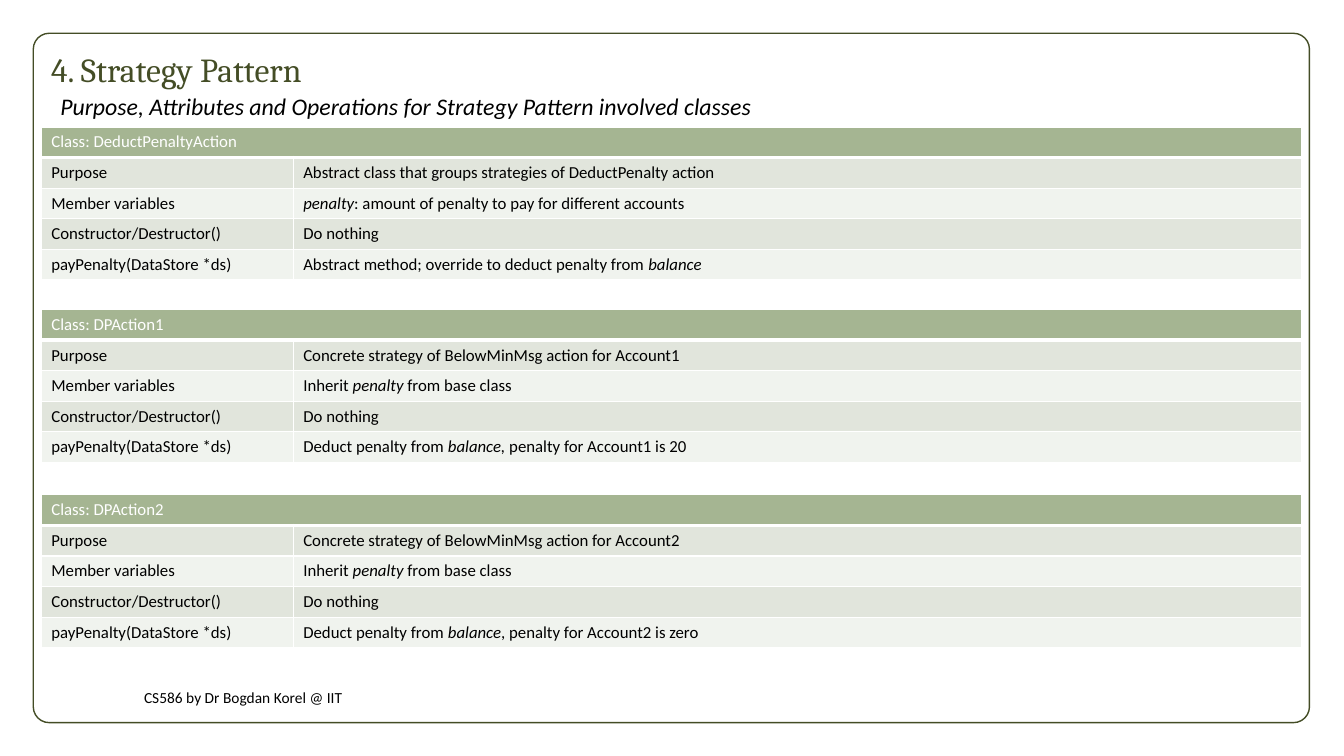
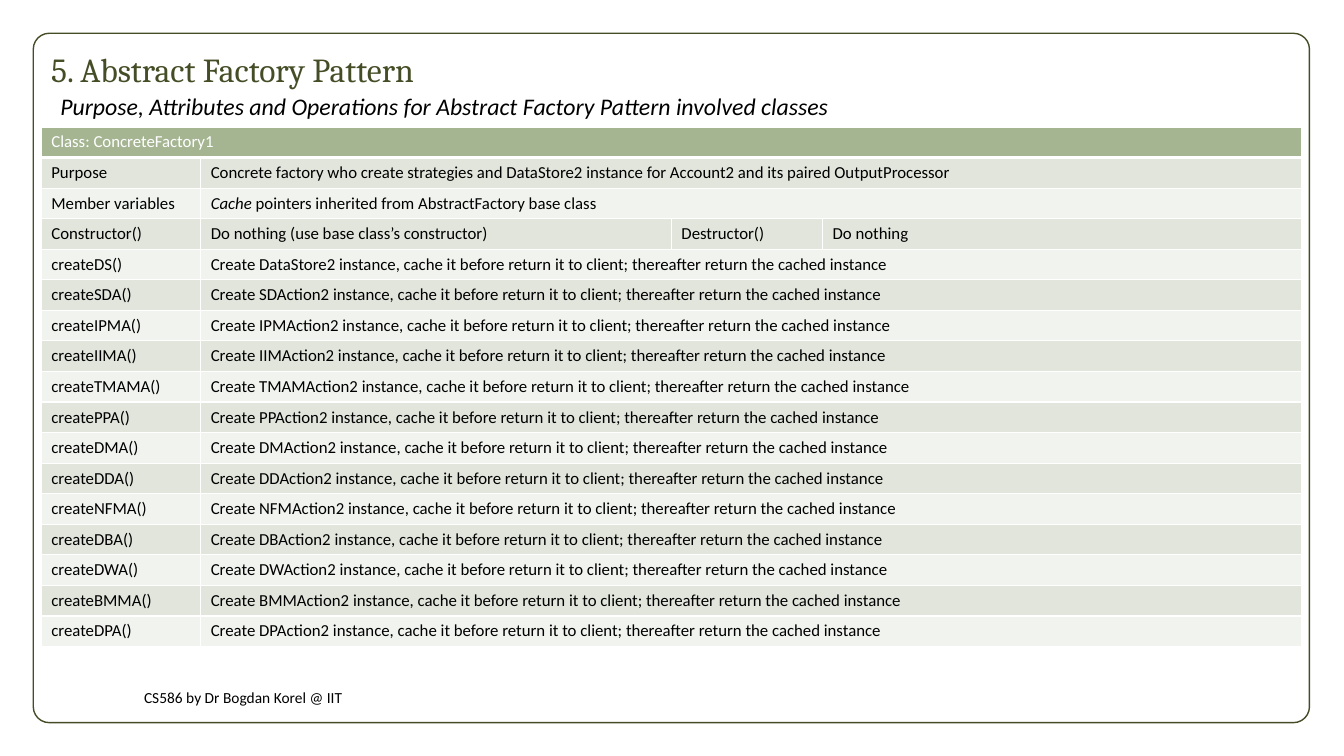
from lxml import etree
from pptx import Presentation
from pptx.dml.color import RGBColor
from pptx.enum.shapes import MSO_SHAPE
from pptx.enum.text import MSO_ANCHOR
from pptx.oxml.ns import qn
from pptx.util import Cm, Pt

COLORS = {
    "paper": "FFFFFF",
    "ink": "000000",
    "olive": "444D26",
    "header": "A5B592",
    "odd": "E1E5DC",
    "even": "F0F3EE",
}
BODY_FONT, TITLE_FONT = "Calibri", "Cambria"
TABLE_LEFT, TABLE_TOP, ROW_HEIGHT = 1.04, 3.2, 0.77

STRATEGY_TABLES = [
    (TABLE_TOP, [
        ["Class: DeductPenaltyAction"],
        ["Purpose", "Abstract class that groups strategies of DeductPenalty action"],
        ["Member variables", "_penalty_: amount of penalty to pay for different accounts"],
        ["Constructor/Destructor()", "Do nothing"],
        ["payPenalty(DataStore *ds)",
         "Abstract method; override to deduct penalty from _balance_"],
    ]),
    (7.8, [
        ["Class: DPAction1"],
        ["Purpose", "Concrete strategy of BelowMinMsg action for Account1"],
        ["Member variables", "Inherit _penalty_ from base class"],
        ["Constructor/Destructor()", "Do nothing"],
        ["payPenalty(DataStore *ds)",
         "Deduct penalty from _balance, _penalty for Account1 is 20"],
    ]),
    (12.47, [
        ["Class: DPAction2"],
        ["Purpose", "Concrete strategy of BelowMinMsg action for Account2"],
        ["Member variables", "Inherit _penalty_ from base class"],
        ["Constructor/Destructor()", "Do nothing"],
        ["payPenalty(DataStore *ds)",
         "Deduct penalty from _balance_, penalty for Account2 is zero"],
    ]),
]

FACTORY_ROWS = [
    ["Class: ConcreteFactory1"],
    ["Purpose", "Concrete factory who create strategies and DataStore2 instance "
                "for Account2 and its paired OutputProcessor"],
    ["Member variables", "_Cache _pointers inherited from AbstractFactory base class"],
    ["Constructor()", "Do nothing (use base class’s constructor)",
     "Destructor()", "Do nothing"],
]
ACTIONS = ["SDA", "IPMA", "IIMA", "TMAMA", "PPA", "DMA", "DDA", "NFMA",
           "DBA", "DWA", "BMMA", "DPA"]


def color(name):
    return RGBColor.from_string(COLORS[name])


def write_text(frame, text, size=12, font=BODY_FONT, ink="ink", italic=False,
               anchor=MSO_ANCHOR.TOP, line_spacing=None):
    """Write one paragraph; words between underscores switch the slant."""
    frame.word_wrap = True
    frame.vertical_anchor = anchor
    para = frame.paragraphs[0]
    para.line_spacing = line_spacing
    for index, part in enumerate(text.split("_")):
        if part:
            span = para.add_run()
            span.text = part
            span.font.name = font
            span.font.size = Pt(size)
            span.font.bold = False
            span.font.italic = italic != (index % 2 == 1)
            span.font.color.rgb = color(ink)


def add_text(page, text, left, top, width, height, **text_format):
    box = page.shapes.add_textbox(Cm(left), Cm(top), Cm(width), Cm(height))
    write_text(box.text_frame, text, **text_format)


def add_frame(page):
    frame = page.shapes.add_shape(MSO_SHAPE.ROUNDED_RECTANGLE,
                                  Cm(0.84), Cm(0.84), Cm(32.16), Cm(17.37))
    frame.adjustments[0] = 0.023
    frame.shadow.inherit = False
    frame.fill.solid()
    frame.fill.fore_color.rgb = color("paper")
    frame.line.color.rgb = color("olive")
    frame.line.width = Pt(1)


def add_page(deck, title, subtitle):
    """Add a page with the shared frame, footer, subtitle and title."""
    page = deck.slides.add_slide(deck.slide_layouts[6])
    add_frame(page)
    add_text(page, "CS586 by Dr Bogdan Korel @ IIT", 3.38, 17.15, 20.6, 0.84,
             size=11, anchor=MSO_ANCHOR.MIDDLE)
    add_text(page, subtitle, 1.27, 2.39, 29.41, 0.79,
             size=17, italic=True, line_spacing=0.7)
    add_text(page, title, TABLE_LEFT, 1.07, 27.08, 1.35,
             size=24, font=TITLE_FONT, ink="olive", anchor=MSO_ANCHOR.MIDDLE)
    return page


def set_borders(cell, top, bottom):
    properties = cell._tc.get_or_add_tcPr()
    for side, points in (("L", 1), ("R", 1), ("T", top), ("B", bottom)):
        line = etree.SubElement(properties, qn(f"a:ln{side}"), w=str(Pt(points)))
        fill = etree.SubElement(line, qn("a:solidFill"))
        etree.SubElement(fill, qn("a:srgbClr"), val=COLORS["paper"])


def add_class_table(page, top, widths, rows):
    """Add a class table; the last text of a short row spans the rest of it."""
    table = page.shapes.add_table(
        len(rows), len(widths), Cm(TABLE_LEFT), Cm(top),
        Cm(sum(widths)), Cm(ROW_HEIGHT * len(rows))).table
    table.first_row = table.horz_banding = False
    for column, width in zip(table.columns, widths):
        column.width = Cm(width)
    for row_index, texts in enumerate(rows):
        table.rows[row_index].height = Cm(ROW_HEIGHT)
        band = "header" if row_index == 0 else ("even", "odd")[row_index % 2]
        cells = [table.cell(row_index, index) for index in range(len(widths))]
        for cell in cells:
            set_borders(cell, 3 if row_index == 1 else 1, 3 if row_index == 0 else 1)
            cell.fill.solid()
            cell.fill.fore_color.rgb = color(band)
        if len(texts) < len(cells):
            cells[len(texts) - 1].merge(cells[-1])
        for cell, text in zip(cells, texts):
            write_text(cell.text_frame, text, ink="paper" if row_index == 0 else "ink")


def factory_rows():
    products = [("DS", "DataStore2")]
    products += [(action, f"{action[:-1]}Action2") for action in ACTIONS]
    return FACTORY_ROWS + [
        [f"create{name}()", f"Create {product} instance, cache it before return it "
                            "to client; thereafter return the cached instance"]
        for name, product in products]


def main():
    deck = Presentation()
    deck.slide_width, deck.slide_height = Cm(33.87), Cm(19.05)

    page = add_page(deck, "4. Strategy Pattern",
                    "Purpose, Attributes and Operations for Strategy Pattern involved classes")
    for top, rows in STRATEGY_TABLES:
        add_class_table(page, top, [6.35, 25.4], rows)

    page = add_page(deck, "5. Abstract Factory Pattern",
                    "Purpose, Attributes and Operations for Abstract Factory Pattern "
                    "involved classes")
    add_class_table(page, TABLE_TOP, [4.02, 11.86, 3.81, 12.06], factory_rows())

    deck.save("out.pptx")


if __name__ == "__main__":
    main()
